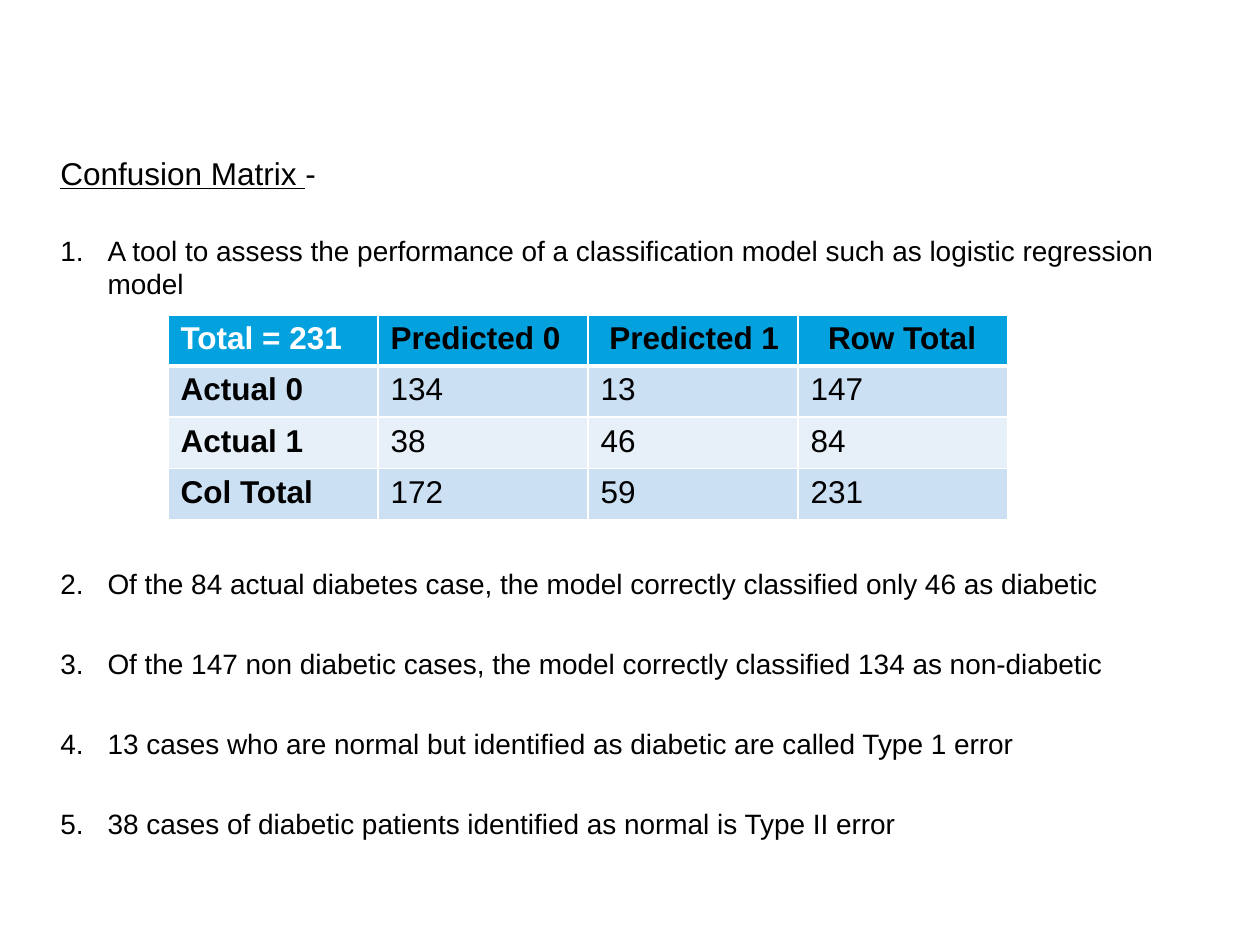
from dataclasses import dataclass

import pptx
import pptx.dml.color
import pptx.enum.text
import pptx.oxml
import pptx.oxml.ns
import pptx.util

Pt = pptx.util.Pt
FONT = "Arial"
COLORS = {"text": "000000", "white": "FFFFFF", "header": "03A2DF",
          "band_dark": "CCE0F3", "band_light": "E7F0F9"}


@dataclass
class Point:
    text: str
    space_before: float


POINTS = [
    Point("A tool to assess the performance of a classification model "
          "such as logistic regression model", 24),
    Point("Of the 84 actual diabetes case, the model correctly classified "
          "only 46 as diabetic", 152.2),
    Point("Of the 147 non diabetic cases, the model correctly classified "
          "134 as non-diabetic", 26.4),
    Point("13 cases who are normal but identified as diabetic are called "
          "Type 1 error", 26.4),
    Point("38 cases of diabetic patients identified as normal is "
          "Type II error", 26.4),
]
MATRIX = [
    ["Total = 231", "Predicted 0", "Predicted 1", "Row Total"],
    ["Actual 0", "134", "13", "147"],
    ["Actual 1", "38", "46", "84"],
    ["Col Total", "172", "59", "231"],
]
ROW_FILLS = ["header", "band_dark", "band_light", "band_dark"]
HEADER_INDENTS = [0, 0, 5, 10]


def rgb(name: str) -> pptx.dml.color.RGBColor:
    return pptx.dml.color.RGBColor.from_string(COLORS[name])


def format_run(r, size: float, color: str = "text", bold: bool = False) -> None:
    r.font.name = FONT
    r.font.size = Pt(size)
    r.font.bold = bold
    r.font.color.rgb = rgb(color)


def number_paragraph(p, indent: float) -> None:
    pPr = p._p.get_or_add_pPr()
    pPr.set("marL", str(Pt(indent)))
    pPr.set("indent", str(-Pt(indent)))
    ns = pptx.oxml.ns.nsdecls("a")
    pPr.append(pptx.oxml.parse_xml(f'<a:buFont {ns} typeface="+mj-lt"/>'))
    pPr.append(pptx.oxml.parse_xml(f'<a:buAutoNum {ns} type="arabicPeriod"/>'))


def set_borders(cell, bottom: float, top: float) -> None:
    tcPr = cell._tc.get_or_add_tcPr()
    widths = {"lnL": 1, "lnR": 1, "lnT": top, "lnB": bottom}
    for i, (tag, width) in enumerate(widths.items()):
        tcPr.insert(i, pptx.oxml.parse_xml(
            f'<a:{tag} {pptx.oxml.ns.nsdecls("a")} w="{Pt(width)}"><a:solidFill>'
            f'<a:srgbClr val="{COLORS["white"]}"/></a:solidFill></a:{tag}>'))


def add_body(s) -> None:
    sp = s.shapes.add_textbox(Pt(27.4), Pt(84.2), Pt(648), Pt(409))
    tf = sp.text_frame
    tf.word_wrap = True
    tf.auto_size = pptx.enum.text.MSO_AUTO_SIZE.NONE
    p = tf.paragraphs[0]
    p.space_before = Pt(1.6)
    for text, underline in [("Confusion Matrix ", True), ("-", False)]:
        r = p.add_run()
        r.text = text
        format_run(r, 18)
        r.font.underline = underline
    for point in POINTS:
        p = tf.add_paragraph()
        p.text = point.text
        p.space_before = Pt(point.space_before)
        number_paragraph(p, 27)
        format_run(p.runs[0], 16)


def add_matrix(s) -> None:
    rows, cols = len(MATRIX), len(MATRIX[0])
    table = s.shapes.add_table(rows, cols, Pt(96), Pt(180),
                               Pt(120 * cols), Pt(29.2 * rows)).table
    for i, values in enumerate(MATRIX):
        for j, value in enumerate(values):
            cell = table.cell(i, j)
            cell.text_frame.text = value
            cell.fill.solid()
            cell.fill.fore_color.rgb = rgb(ROW_FILLS[i])
            set_borders(cell, 3 if i == 0 else 1, 3 if i == 1 else 1)
            if i == 0:
                cell.margin_left = Pt(7.2 + HEADER_INDENTS[j])
            color = "white" if i == j == 0 else "text"
            format_run(cell.text_frame.paragraphs[0].runs[0], 18, color,
                       i == 0 or j == 0)


def main() -> None:
    prs = pptx.Presentation()
    prs.slide_width, prs.slide_height = Pt(720), Pt(540)
    s = prs.slides.add_slide(prs.slide_layouts[6])
    add_body(s)
    add_matrix(s)
    prs.save("out.pptx")


if __name__ == "__main__":
    main()
